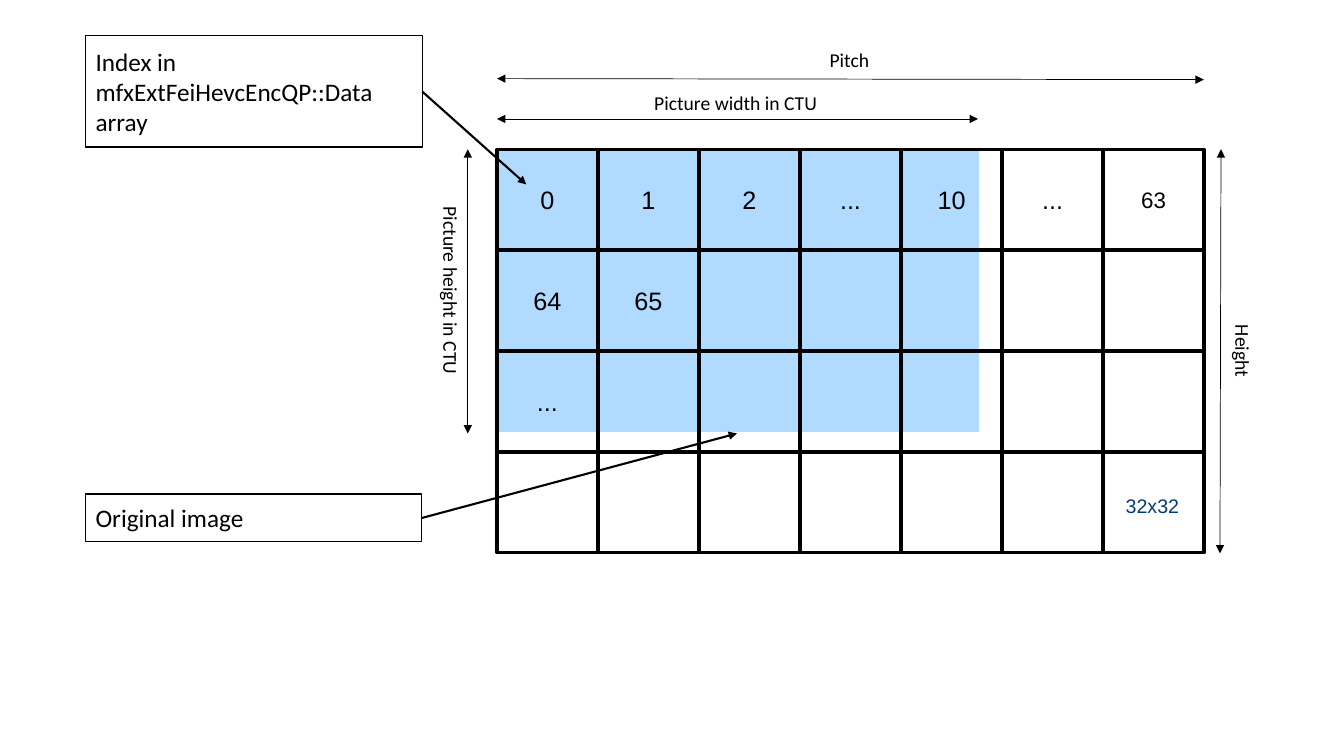
from dataclasses import dataclass

from lxml import etree
from pptx import Presentation
from pptx.dml.color import RGBColor
from pptx.enum.shapes import MSO_CONNECTOR, MSO_SHAPE
from pptx.enum.text import MSO_ANCHOR, PP_ALIGN
from pptx.oxml.ns import qn
from pptx.util import Inches, Pt

RECT = MSO_SHAPE.RECTANGLE
CELL = MSO_SHAPE.FLOWCHART_PROCESS
STRAIGHT = MSO_CONNECTOR.STRAIGHT
MIDDLE = MSO_ANCHOR.MIDDLE
LEFT, CENTER = PP_ALIGN.LEFT, PP_ALIGN.CENTER


@dataclass(frozen=True)
class Theme:
    ink: RGBColor = RGBColor(0, 0, 0)
    paper: RGBColor = RGBColor(255, 255, 255)
    image: RGBColor = RGBColor(0xB0, 0xDA, 0xFF)
    note: RGBColor = RGBColor(0x00, 0x3C, 0x71)
    grid_font: str = "Arial"
    font: str = "Calibri"
    large: int = 18
    medium: int = 16
    small: int = 14


theme = Theme()
deck = Presentation()
deck.slide_width, deck.slide_height = Inches(13.33), Inches(7.5)
slide = deck.slides.add_slide(deck.slide_layouts[6])
shapes = slide.shapes


def write(shape, text, font, size, color=theme.ink, align=LEFT):
    shape.text_frame.text = text
    para = shape.text_frame.paragraphs[0]
    para.alignment = align
    style = para.runs[0].font
    style.name, style.size = font, Pt(size)
    style.color.rgb = color


def add_arrow(start, end, width, ends):
    """Draw a line with a triangle at each of the named ends."""
    points = [Inches(v) for v in (*start, *end)]
    arrow = shapes.add_connector(STRAIGHT, *points)
    arrow.line.color.rgb = theme.ink
    arrow.line.width = Pt(width)
    line = arrow.line._get_or_add_ln()
    for end_tag in ends:
        etree.SubElement(line, qn(end_tag), type="triangle")
    etree.SubElement(arrow._element.spPr, qn("a:effectLst"))


# Image area behind the grid
image = shapes.add_shape(CELL, Inches(4.91), Inches(1.48), Inches(4.8), Inches(2.81))
image.shadow.inherit = False
image.fill.solid()
image.fill.fore_color.rgb = theme.image
image.line.fill.background()

# Grid of CTU cells
grid_left, grid_top, side, pitch = 4.93, 1.48, 1, 1.002
rows = [
    ["0", "1", "2", "...", "10", "...", "63"],
    ["64", "65", "", "", "", "", ""],
    ["...", "", "", "", "", "", ""],
    [""] * 7,
]
for row, labels in enumerate(rows):
    for col, label in enumerate(labels):
        cell = shapes.add_shape(
            CELL, Inches(grid_left + col * pitch), Inches(grid_top + row * pitch),
            Inches(side), Inches(side))
        cell.shadow.inherit = False
        cell.fill.background()
        cell.line.color.rgb = theme.ink
        cell.line.width = Pt(2.25)
        if label:
            cell.text_frame.vertical_anchor = MIDDLE
            size = theme.medium if label == "63" else theme.large
            write(cell, label, theme.grid_font, size, align=CENTER)

unit = shapes.add_textbox(Inches(11.15), Inches(4.9), Inches(0.56), Inches(0.24))
frame = unit.text_frame
frame.margin_left = frame.margin_right = frame.margin_top = frame.margin_bottom = 0
frame.word_wrap = False
write(unit, "32x32", theme.grid_font, theme.small, theme.note, CENTER)

# Callouts: text, box, arrow start, arrow end
callouts = [
    ("Index in mfxExtFeiHevcEncQP::Data array",
     (0.85, 0.35, 3.34, 1.11), (4.19, 0.91), (5.22, 1.83)),
    ("Original image",
     (0.85, 4.9, 3.33, 0.47), (4.18, 5.14), (7.31, 4.3)),
]
for text, box, start, end in callouts:
    callout = shapes.add_shape(RECT, *[Inches(v) for v in box])
    callout.shadow.inherit = False
    callout.fill.solid()
    callout.fill.fore_color.rgb = theme.paper
    callout.line.color.rgb = theme.ink
    callout.line.width = Pt(1)
    callout.text_frame.word_wrap = True
    callout.text_frame.vertical_anchor = MIDDLE
    write(callout, text, theme.font, theme.large)
    add_arrow(start, end, 1.5, ["a:tailEnd"])

# Dimensions: text, box, turn, arrow start, arrow end
spans = [
    ("Picture width in CTU", (6.39, 0.85, 1.83, 0.34), 0, (4.93, 1.18), (9.7, 1.18)),
    ("Pitch", (8.13, 0.43, 0.6, 0.34), 0, (4.93, 0.78), (11.94, 0.79)),
    ("Picture height in CTU", (3.53, 2.72, 1.88, 0.34), 90, (4.64, 1.48), (4.64, 4.3)),
    ("Height", (11.96, 3.32, 0.73, 0.34), 90, (12.11, 1.48), (12.1, 5.49)),
]
for text, box, turn, start, end in spans:
    add_arrow(start, end, 0.5, ["a:headEnd", "a:tailEnd"])
    label = shapes.add_textbox(*[Inches(v) for v in box])
    label.rotation = turn
    label.text_frame.word_wrap = False
    write(label, text, theme.font, theme.small)

deck.save("out.pptx")
